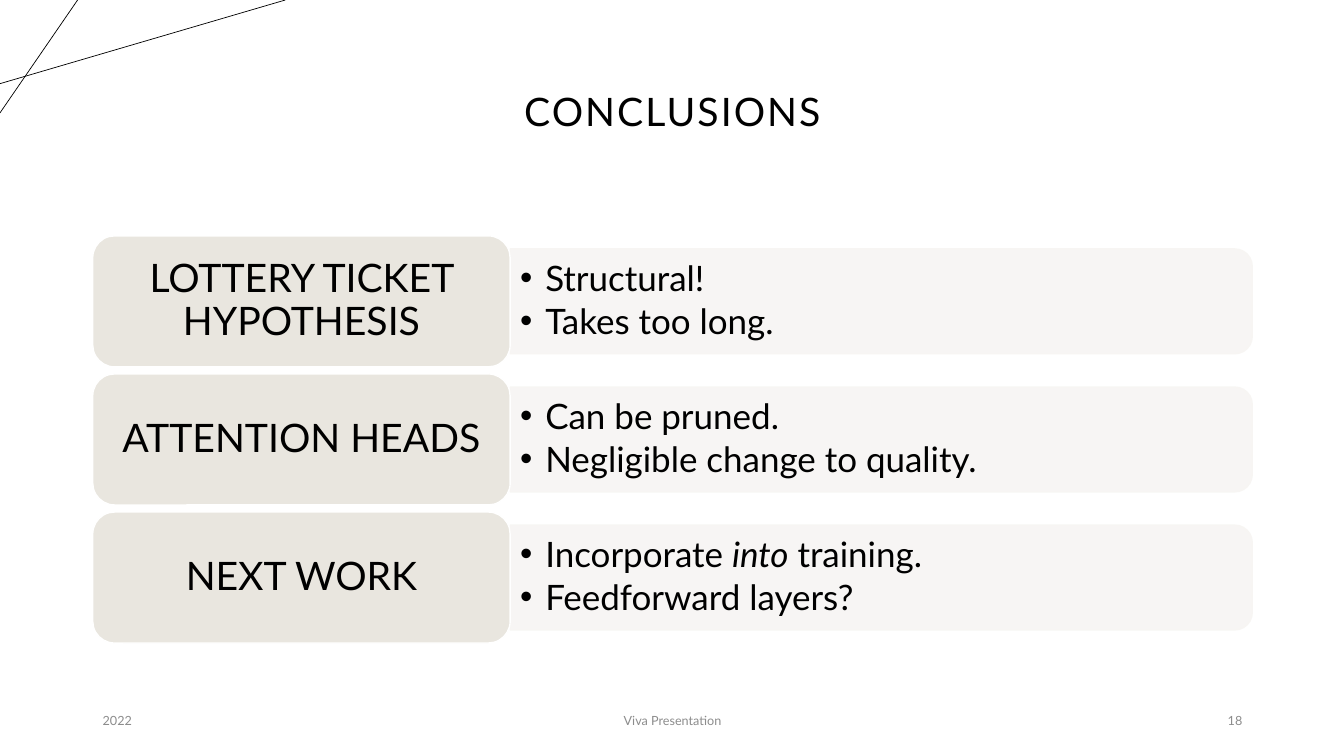
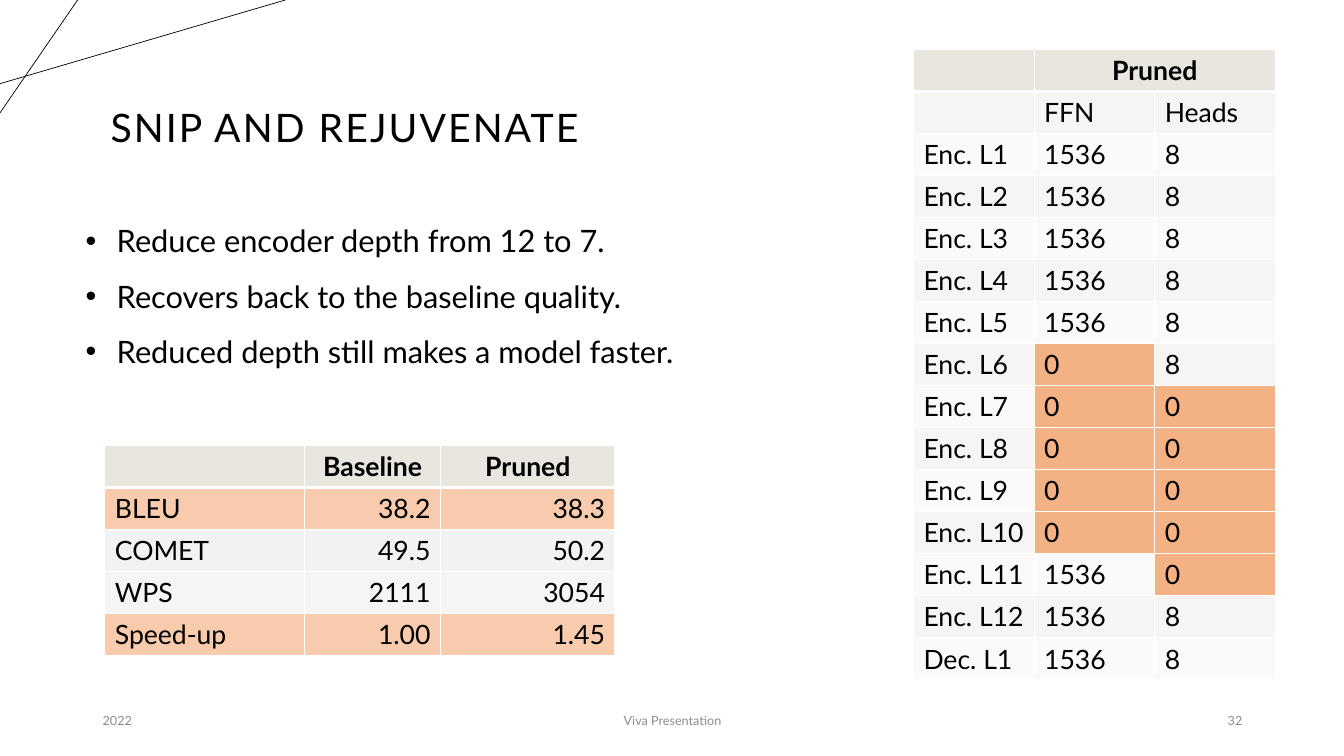
from pptx import Presentation
from pptx.dml.color import RGBColor
from pptx.enum.shapes import MSO_CONNECTOR, MSO_SHAPE
from pptx.enum.text import MSO_ANCHOR, PP_ALIGN
from pptx.oxml.ns import qn
from pptx.util import Inches, Pt
from lxml.etree import SubElement

FONT = "Lato"
COLORS = {
    "black": "000000", "white": "FFFFFF", "footer": "8C8C8C",
    "sand": "E9E6DF", "band": "F7F5F3", "band_alt": "FBFAF9",
    "grey": "F2F2F2", "peach": "F8CBAD", "orange": "F4B183",
}
LEFT, CENTER, RIGHT = PP_ALIGN.LEFT, PP_ALIGN.CENTER, PP_ALIGN.RIGHT
ROW_H = 6.25 / 15


def rgb(name):
    return RGBColor.from_string(COLORS[name])


def inches(*values):
    return [Inches(v) for v in values]


# Text: a paragraph is a string, or a list of (text, italic) runs
def write(tf, paras, size, color="black", bold=False, spacing=None, bullet=None, **para):
    for i, runs in enumerate(paras):
        p = tf.paragraphs[0] if i == 0 else tf.add_paragraph()
        for name, value in para.items():
            setattr(p, name, value)
        if bullet:
            pPr = p._p.get_or_add_pPr()
            pPr.set("marL", str(Inches(bullet)))
            pPr.set("indent", str(-Inches(bullet)))
            SubElement(pPr, qn("a:buFont"), typeface="Arial")
            SubElement(pPr, qn("a:buChar"), char="•")
        for text, italic in [(runs, False)] if isinstance(runs, str) else runs:
            r = p.add_run()
            r.text = text
            fmt = {"name": FONT, "size": Pt(size), "bold": bold, "italic": italic}
            for name, value in fmt.items():
                setattr(r.font, name, value)
            r.font.color.rgb = rgb(color)
            if spacing:
                r._r.get_or_add_rPr().set("spc", str(int(spacing * 100)))


def frame(tf, anchor=MSO_ANCHOR.MIDDLE, mx=0.1, my=0.05):
    fmt = {"word_wrap": True, "vertical_anchor": anchor,
           "margin_left": Inches(mx), "margin_right": Inches(mx),
           "margin_top": Inches(my), "margin_bottom": Inches(my)}
    for name, value in fmt.items():
        setattr(tf, name, value)
    return tf


def text_box(s, box, paras, size, anchor=MSO_ANCHOR.MIDDLE, **fmt):
    tb = s.shapes.add_textbox(*inches(*box))
    write(frame(tb.text_frame, anchor), paras, size, **fmt)


# Shapes and lines
def add_box(s, kind, box, fill, line):
    sp = s.shapes.add_shape(kind, *inches(*box))
    sp.shadow.inherit = False
    sp.fill.solid()
    sp.fill.fore_color.rgb = rgb(fill)
    sp.line.color.rgb = rgb(line)
    sp.line.width = Pt(1)
    return sp


def add_line(s, *ends):
    c = s.shapes.add_connector(MSO_CONNECTOR.STRAIGHT, *inches(*ends))
    c.line.color.rgb = rgb("black")
    c.line.width = Pt(0.5)
    SubElement(c._element.spPr, qn("a:effectLst"))


def add_topic(s, top, label, points):
    # Panel: a tall shape turned so that its rounded end faces right
    x, w, h, mid = 5.06, 7.36, 1.04, top + 0.65
    panel = add_box(s, MSO_SHAPE.ROUND_2_SAME_RECTANGLE,
                    (x + (w - h) / 2, mid - w / 2, h, w), "band", "band")
    panel.rotation = 90
    for color in panel._element.spPr.iter(qn("a:srgbClr")):
        SubElement(color, qn("a:alpha"), val="90000")
    text_box(s, (x, mid - 0.47, 7.31, 0.94), points, 25, bullet=0.25,
             line_spacing=0.9, space_after=Pt(3.75))
    # Label
    sp = add_box(s, MSO_SHAPE.ROUNDED_RECTANGLE, (0.92, top, 4.14, 1.3), "sand", "white")
    write(frame(sp.text_frame, mx=0.18, my=0.12), [label], 28,
          alignment=CENTER, line_spacing=0.9)


# Tables
def cell_borders(cell, widths):
    tcPr = cell._tc.get_or_add_tcPr()
    for side, width in widths.items():
        ln = SubElement(tcPr, qn(f"a:ln{side}"), w=str(Pt(width)))
        fill = SubElement(ln, qn("a:solidFill"))
        SubElement(fill, qn("a:srgbClr"), val=COLORS["white"])


def add_grid(s, left, top, widths, rows, fill_of, aligns):
    gf = s.shapes.add_table(len(rows), len(widths),
                            *inches(left, top, sum(widths), ROW_H * len(rows)))
    tbl = gf.table
    for column, width in zip(tbl.columns, widths):
        column.width = Inches(width)
    for i, row in enumerate(rows):
        tbl.rows[i].height = Inches(ROW_H)
        head = i == 0
        for j, value in enumerate(row):
            cell = tbl.cell(i, j)
            cell_borders(cell, {"L": 1, "R": 1, "T": 3 if i == 1 else 1, "B": 3 if head else 1})
            cell.fill.solid()
            cell.fill.fore_color.rgb = rgb("sand" if head else fill_of(i, value))
            if value:
                write(cell.text_frame, [value], 19, bold=head,
                      alignment=CENTER if head else aligns[j])
    return tbl


# What the slides share
def add_slide(prs, title, number, title_at):
    s = prs.slides.add_slide(prs.slide_layouts[6])
    add_line(s, 0, 0.83, 2.83, 0)
    add_line(s, 0.77, 0, 0, 1.12)
    text_box(s, (*title_at, 11.5, 1.45), [title], 28, spacing=1.5,
             alignment=CENTER, line_spacing=0.9)
    footers = [(0.92, 3, "2022", LEFT), (4.42, 4.5, "Viva Presentation", CENTER),
               (9.42, 3, number, RIGHT)]
    for x, w, text, align in footers:
        text_box(s, (x, 6.95, w, 0.4), [text], 9, color="footer", alignment=align)
    return s


def conclusions(prs):
    s = add_slide(prs, "CONCLUSIONS", "18", (0.92, 0.4))
    topics = [
        ("LOTTERY TICKET HYPOTHESIS", ["Structural!", "Takes too long."]),
        ("ATTENTION HEADS", ["Can be pruned.", "Negligible change to quality."]),
        ("NEXT WORK", [[("Incorporate ", False), ("into", True), (" training.", False)],
                       "Feedforward layers?"]),
    ]
    for i, (label, points) in enumerate(topics):
        add_topic(s, 2.34 + 1.37 * i, label, points)


def snip(prs):
    s = add_slide(prs, "SNIP AND REJUVENATE", "32", (-2.33, 0.56))

    # Layers: pruned cells hold 0
    layers = [["", "Pruned", ""], ["", "FFN", "Heads"]]
    for n in range(1, 13):
        layers.append([f"Enc. L{n}", "0" if 6 <= n <= 10 else "1536",
                       "0" if 7 <= n <= 11 else "8"])
    layers.append(["Dec. L1", "1536", "8"])

    def layer_fill(i, value):
        return "orange" if value == "0" else "band" if i % 2 else "band_alt"

    tbl = add_grid(s, 9.06, 0.49, [3.59 / 3] * 3, layers, layer_fill, [LEFT] * 3)
    tbl.cell(0, 1).merge(tbl.cell(0, 2))

    # Scores
    scores = [["", "Baseline", "Pruned"], ["BLEU", "38.2", "38.3"],
              ["COMET", "49.5", "50.2"], ["WPS", "2111", "3054"],
              ["Speed-up", "1.00", "1.45"]]
    fills = ["sand", "peach", "grey", "band", "peach"]
    add_grid(s, 1.04, 4.42, [1.98, 1.35, 1.73], scores,
             lambda i, value: fills[i], [LEFT, RIGHT, RIGHT])

    # Findings
    text_box(s, (0.75, 1.97, 6.06, 1.7),
             ["Reduce encoder depth from 12 to 7.",
              "Recovers back to the baseline quality.",
              "Reduced depth still makes a model faster."],
             22, anchor=MSO_ANCHOR.TOP, bullet=0.31, line_spacing=1.5)


def main():
    prs = Presentation()
    prs.slide_width, prs.slide_height = inches(13.33, 7.5)
    conclusions(prs)
    snip(prs)
    prs.save("out.pptx")


if __name__ == "__main__":
    main()
